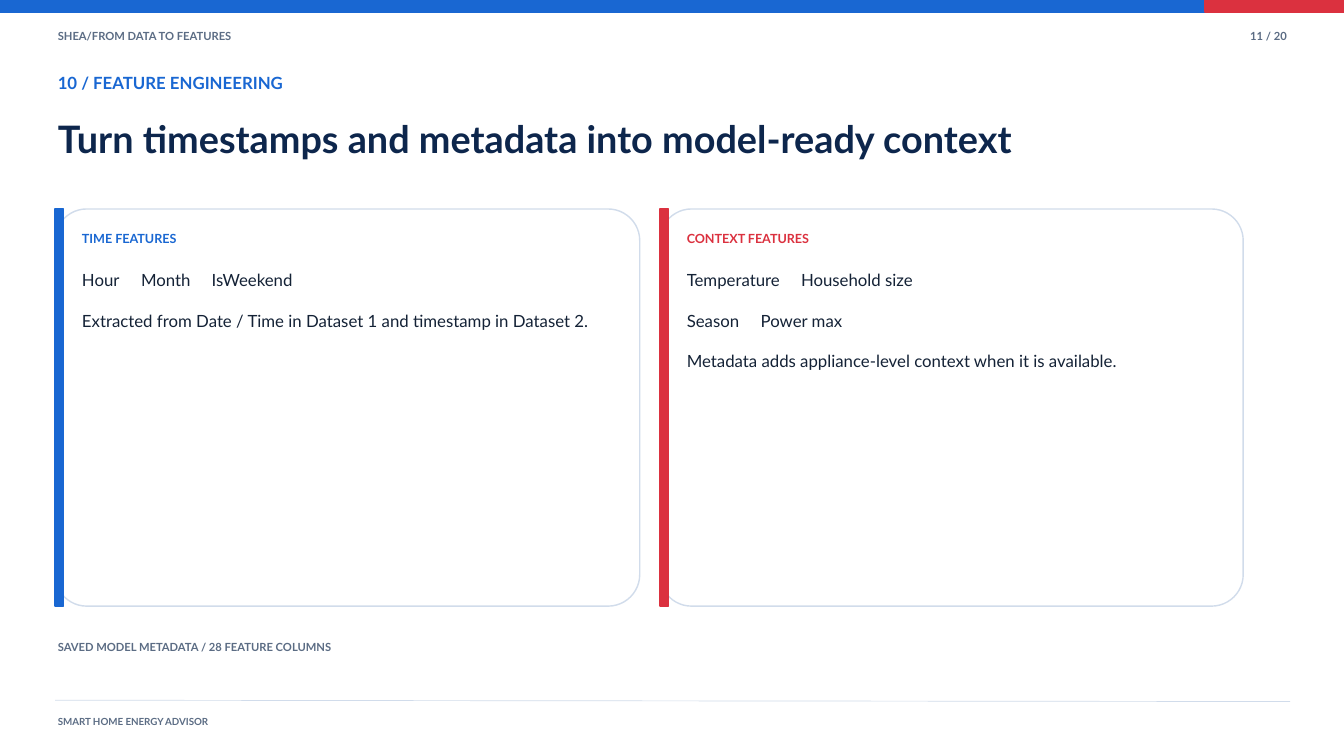
from dataclasses import dataclass

from lxml.etree import SubElement
from pptx import Presentation
from pptx.dml.color import RGBColor
from pptx.enum.shapes import MSO_CONNECTOR, MSO_SHAPE
from pptx.enum.text import PP_ALIGN
from pptx.oxml.ns import qn
from pptx.util import Emu, Pt

EMU_PER_PX = 9144  # 100 px to the inch


@dataclass(frozen=True)
class Theme:
    font: str = "Lato"
    blue: str = "1967D2"
    red: str = "DB313F"
    navy: str = "0D264C"
    ink: str = "142236"
    muted: str = "5B6C84"
    border: str = "D1DCEB"
    white: str = "FFFFFF"
    footer_size: float = 10.5
    small_size: float = 12
    label_size: float = 13.5
    body_size: float = 18
    title_size: float = 40.5
    outline: float = 1.5
    hairline: float = 0.75
    leading: float = 1.2


THEME = Theme()

CARD_TOP, CARD_HEIGHT, CARD_RADIUS = 311, 591, 47
STRIPE_WIDTH, CARD_PADDING = 13, 40

# Each body line is paired with the tab stops that space out its items.
TIME_LINES = [
    ("Hour\tMonth\tIsWeekend", (88, 193)),
    ("Extracted from Date / Time in Dataset 1 and timestamp in Dataset 2.", ()),
]
CONTEXT_LINES = [
    ("Temperature\tHousehold size", (170,)),
    ("Season\tPower max", (110,)),
    ("Metadata adds appliance-level context when it is available.", ()),
]


def px(value):
    return Emu(value * EMU_PER_PX)


def color(value):
    return RGBColor.from_string(value)


def add_box(slide, kind, left, top, width, height, fill, line):
    shape = slide.shapes.add_shape(kind, px(left), px(top), px(width), px(height))
    shape.shadow.inherit = False
    shape.fill.solid()
    shape.fill.fore_color.rgb = color(fill)
    shape.line.color.rgb = color(line)
    shape.line.width = Pt(THEME.outline)
    return shape


def add_bar(slide, left, top, width, height, fill):
    return add_box(slide, MSO_SHAPE.RECTANGLE, left, top, width, height, fill, fill)


def add_tab_stops(paragraph, stops):
    tab_list = SubElement(paragraph._p.get_or_add_pPr(), qn("a:tabLst"))
    for stop in stops:
        SubElement(tab_list, qn("a:tab"), pos=str(px(stop)), algn="l")


def add_text(slide, left, top, width, height, lines, size, ink, bold=True,
             align=PP_ALIGN.LEFT):
    """Add a text box from (text, tab stops) lines, one blank line's space apart."""
    box = slide.shapes.add_textbox(px(left), px(top), px(width), px(height))
    frame = box.text_frame
    frame.word_wrap = True
    frame.margin_left = frame.margin_top = frame.margin_right = frame.margin_bottom = 0
    for index, (text, stops) in enumerate(lines):
        paragraph = frame.add_paragraph() if index else frame.paragraphs[0]
        paragraph.text = text
        paragraph.alignment = align
        paragraph.line_spacing = Pt(size * THEME.leading)
        if index:
            paragraph.space_before = Pt(size * THEME.leading)
        if stops:
            add_tab_stops(paragraph, stops)
        for run in paragraph.runs:
            run.font.name = THEME.font
            run.font.size = Pt(size)
            run.font.bold = bold
            run.font.color.rgb = color(ink)


def add_label(slide, left, top, width, height, text, size, ink, align=PP_ALIGN.LEFT):
    add_text(slide, left, top, width, height, [(text, ())], size, ink, align=align)


def add_rule(slide, start, end):
    rule = slide.shapes.add_connector(
        MSO_CONNECTOR.STRAIGHT, *(px(value) for value in start + end))
    rule.line.color.rgb = color(THEME.border)
    rule.line.width = Pt(THEME.hairline)
    SubElement(rule._element.spPr, qn("a:effectLst"))


def add_card(slide, left, width, heading, lines, accent):
    card = add_box(slide, MSO_SHAPE.ROUNDED_RECTANGLE, left, CARD_TOP, width,
                   CARD_HEIGHT, THEME.white, THEME.border)
    card.adjustments[0] = CARD_RADIUS / CARD_HEIGHT
    add_bar(slide, left, CARD_TOP, STRIPE_WIDTH, CARD_HEIGHT, accent)
    text_left, text_width = left + CARD_PADDING, width - 71
    add_label(slide, text_left, CARD_TOP + 33, text_width, 28, heading,
              THEME.label_size, accent)
    add_text(slide, text_left, CARD_TOP + 91, text_width, 468, lines,
             THEME.body_size, THEME.ink, bold=False)


def add_header(slide):
    add_bar(slide, -1, -1, 2004, 19, THEME.blue)
    add_bar(slide, 1793, -1, 210, 19, THEME.red)
    add_label(slide, 86, 44, 1195, 30, "SHEA/FROM DATA TO FEATURES",
              THEME.small_size, THEME.muted)
    add_label(slide, 1771, 44, 144, 30, "11 / 20",
              THEME.small_size, THEME.muted, PP_ALIGN.RIGHT)
    add_label(slide, 86, 108, 1803, 47, "10 / FEATURE ENGINEERING",
              THEME.body_size, THEME.blue)
    add_label(slide, 86, 172, 1803, 116,
              "Turn timestamps and metadata into model-ready context",
              THEME.title_size, THEME.navy)


def add_footer(slide):
    add_label(slide, 86, 953, 895, 24, "SAVED MODEL METADATA / 28 FEATURE COLUMNS",
              THEME.small_size, THEME.muted)
    add_rule(slide, (82, 1042), (1920, 1044))
    add_label(slide, 86, 1065, 594, 22, "SMART HOME ENERGY ADVISOR",
              THEME.footer_size, THEME.muted)


def main():
    presentation = Presentation()
    presentation.slide_width = px(2000)
    presentation.slide_height = px(1125)
    slide = presentation.slides.add_slide(presentation.slide_layouts[6])
    slide.background.fill.solid()
    slide.background.fill.fore_color.rgb = color(THEME.white)
    add_header(slide)
    add_card(slide, 82, 870, "TIME FEATURES", TIME_LINES, THEME.blue)
    add_card(slide, 982, 868, "CONTEXT FEATURES", CONTEXT_LINES, THEME.red)
    add_footer(slide)
    presentation.save("out.pptx")


if __name__ == "__main__":
    main()
